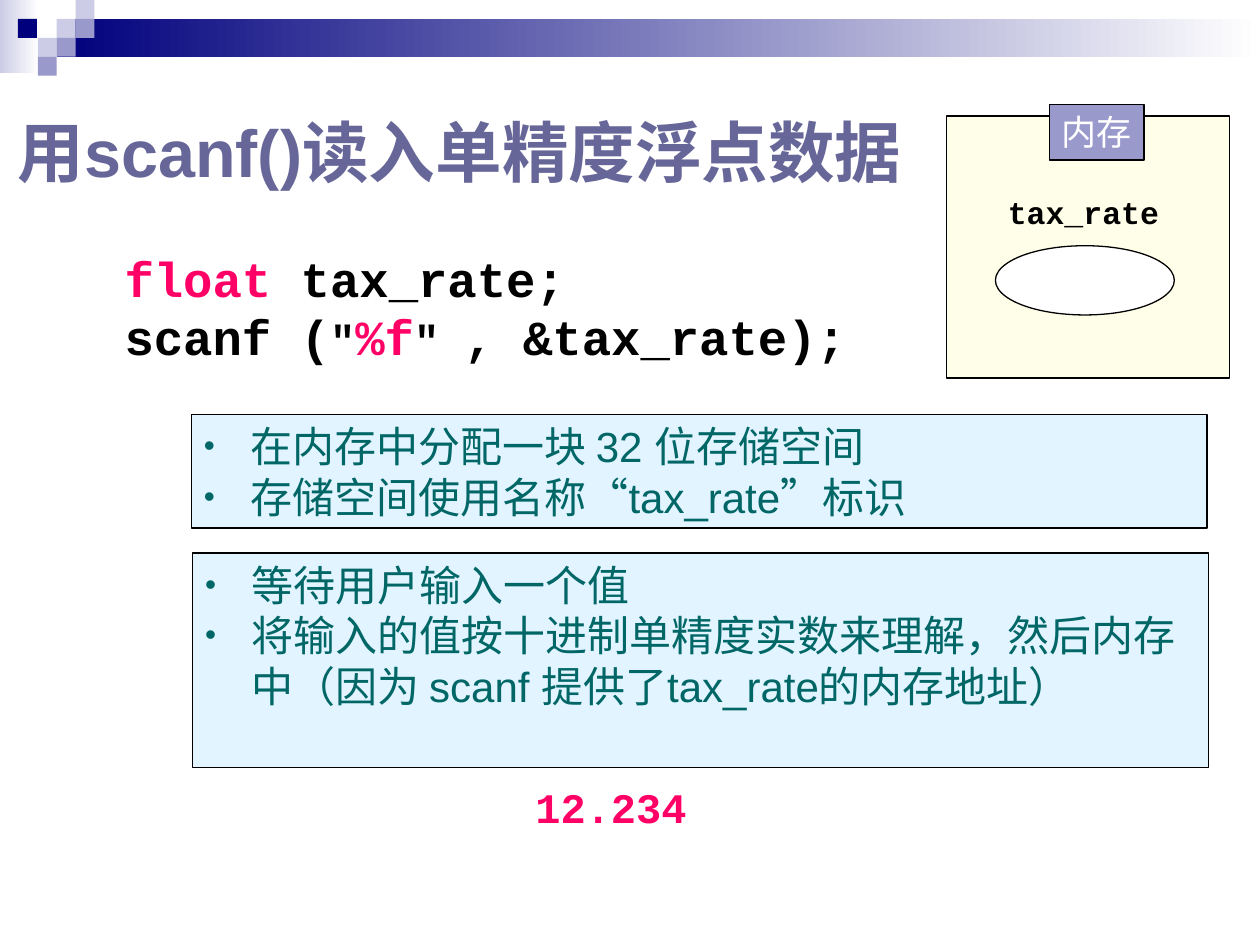
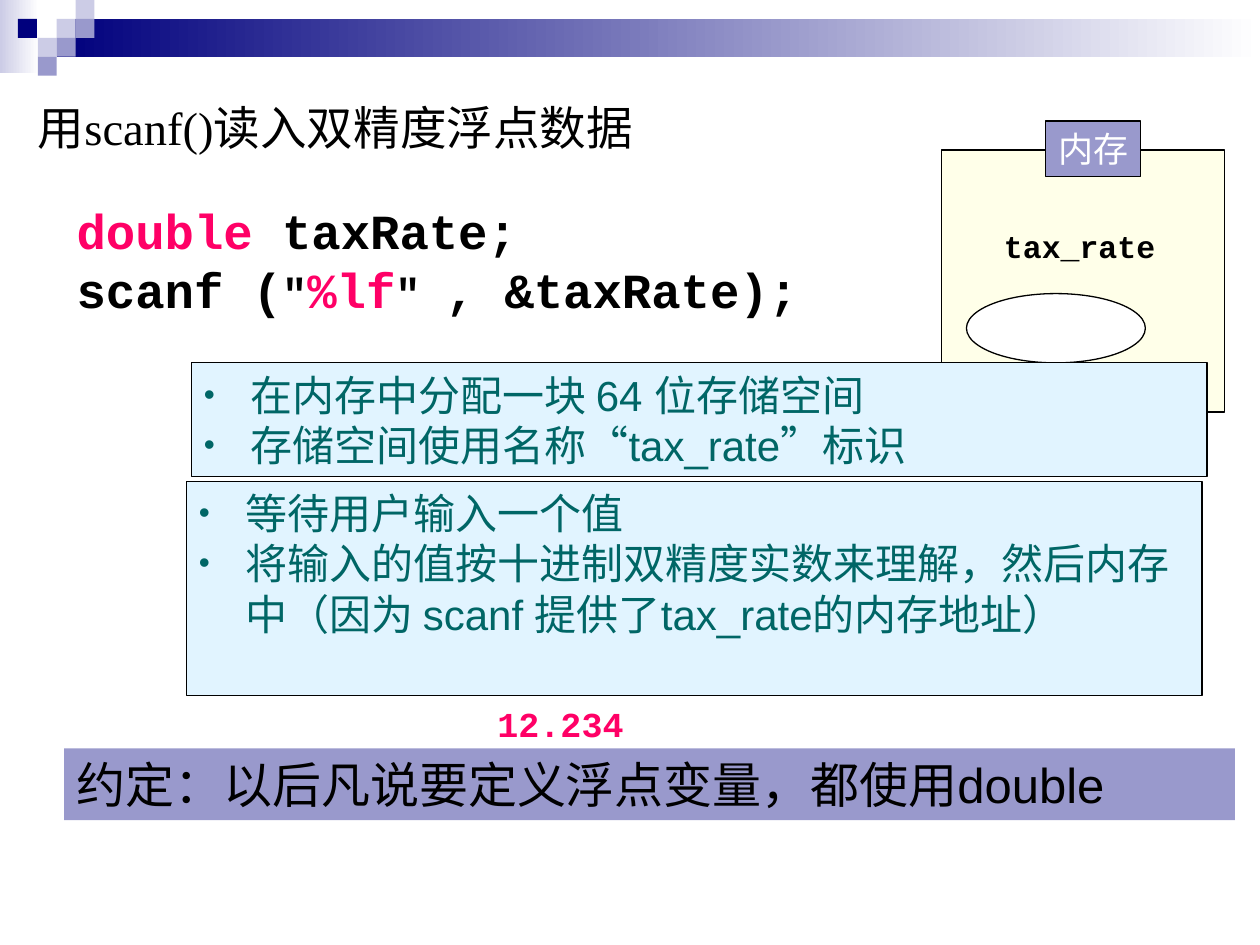
from dataclasses import dataclass

from lxml import etree
from pptx import Presentation, util as u
from pptx.dml.color import RGBColor
from pptx.enum import shapes, text
from pptx.oxml.ns import qn


@dataclass(frozen=True)
class Theme:
    navy: str = "00007D"
    lavender: str = "9999CC"
    pale: str = "CCCCE6"
    white: str = "FFFFFF"
    black: str = "000000"
    heading: str = "666699"
    cream: str = "FFFFE9"
    sky: str = "E1F4FF"
    teal: str = "006666"
    pink: str = "FF0066"
    sans: str = "Arial"
    mono: str = "Courier New"
    serif: str = "Times New Roman"
    code: float = 28
    quote: float = 24
    body: float = 24
    tag: float = 20
    label: float = 18


T = Theme()
RECT, OVAL = shapes.MSO_SHAPE.RECTANGLE, shapes.MSO_SHAPE.OVAL

prs = Presentation()
prs.slide_width, prs.slide_height = u.Inches(10), u.Inches(7.5)
COLUMN = prs.slide_width / 10     # ten columns
ROW = prs.slide_height / 7.5      # seven and a half rows
TILE = 0.15                       # mosaic tile, in columns or rows


def place(slide, kind, at, fill=None, line=None):
    """Add a preset shape, or a text box when kind is None, at grid coordinates."""
    left, top, width, height = at
    frame = [round(n) for n in (left * COLUMN, top * ROW, width * COLUMN, height * ROW)]
    if kind is None:
        return slide.shapes.add_textbox(*frame)
    shape = slide.shapes.add_shape(kind, *frame)
    shape.shadow.inherit = False
    if isinstance(fill, tuple):
        shape.fill.gradient()
        shape.fill.gradient_angle = 0
        for stop, colour in zip(shape.fill.gradient_stops, fill):
            stop.color.rgb = RGBColor.from_string(colour)
    else:
        shape.fill.solid()
        shape.fill.fore_color.rgb = RGBColor.from_string(fill)
    if line:
        shape.line.color.rgb = RGBColor.from_string(line)
        shape.line.width = u.Pt(0.75)
    else:
        shape.line.fill.background()
    return shape


def write(shape, lines, font, bold=False, wrap=True, bullet=None, middle=False):
    """Fill a shape with lines, each a list of (words, size, colour) runs."""
    frame = shape.text_frame
    frame.word_wrap = wrap
    frame.auto_size = text.MSO_AUTO_SIZE.NONE
    frame.vertical_anchor = text.MSO_ANCHOR.MIDDLE if middle else text.MSO_ANCHOR.TOP
    for i, runs in enumerate(lines):
        paragraph = frame.add_paragraph() if i else frame.paragraphs[0]
        paragraph.alignment = text.PP_ALIGN.LEFT
        if bullet:
            props = paragraph._p.get_or_add_pPr()
            indent = round(0.37 * COLUMN)
            props.set("marL", str(indent))
            props.set("indent", str(-indent))
            colour = etree.SubElement(props, qn("a:buClr"))
            etree.SubElement(colour, qn("a:srgbClr"), val=bullet)
            etree.SubElement(props, qn("a:buSzPct"), val="75000")
            etree.SubElement(props, qn("a:buFont"), typeface=font)
            etree.SubElement(props, qn("a:buChar"), char="•")
        for words, size, ink in runs:
            run = paragraph.add_run()
            run.text = words
            run.font.name, run.font.size, run.font.bold = font, u.Pt(size), bold
            run.font.color.rgb = RGBColor.from_string(ink)


lessons = [
    dict(title="用scanf()读入单精度浮点数据", title_at=(0.04, 0.69, 9.05, 1.02),
         title_style=(38, T.heading, T.sans, True),
         keyword="float", variable="tax_rate", format="%f", code_at=(0.89, 1.92),
         panel=(7.51, 0.92), tag=(8.33, 0.83), label=(7.9, 1.48), cell=(7.9, 1.95),
         bits=32, precision="单", storage=(1.52, 3.29), reading=(1.53, 4.39),
         input_at=(4.15, 6.15, 1.95, 0.5), input_size=24, rule=None),
    dict(title="用scanf()读入双精度浮点数据", title_at=(0.2, 0.67, 8.69, 0.67),
         title_style=(26.6, T.black, T.serif, False),
         keyword="double", variable="taxRate", format="%lf", code_at=(0.51, 1.54),
         panel=(7.47, 1.19), tag=(8.3, 0.96), label=(7.87, 1.75), cell=(7.67, 2.33),
         bits=64, precision="双", storage=(1.52, 2.88), reading=(1.48, 3.82),
         input_at=(3.85, 5.53, 1.37, 0.44), input_size=20,
         rule="约定：以后凡说要定义浮点变量，都使用double"),
]

layout = prs.slide_layouts[5]
pages = [prs.slides.add_slide(layout) for _ in lessons]

# The banner is drawn once, then moved to the layout that both slides share.
tiles = [(3, 1, T.pale), (4, 0, T.pale), (4, 1, T.lavender), (2, 2, T.pale),
         (0.95, 1, T.navy), (3, 2, T.lavender), (2, 3, T.lavender)]
banner = [place(pages[0], RECT, (0, 0, 0.31, 0.58), (T.pale, T.white)),
          place(pages[0], RECT, (3 * TILE, TILE, 10 - 3 * TILE, 2 * TILE), (T.navy, T.white))]
banner += [place(pages[0], RECT, (column * TILE, row * TILE, TILE, TILE), colour)
           for column, row, colour in tiles]
for part in banner:
    layout.shapes.element.append(part.element)

for page, lesson in zip(pages, lessons):
    # Title
    title = page.shapes.title
    left, top, width, height = lesson["title_at"]
    title.left, title.width = round(left * COLUMN), round(width * COLUMN)
    title.top, title.height = round(top * ROW), round(height * ROW)
    size, ink, font, bold = lesson["title_style"]
    write(title, [[(lesson["title"], size, ink)]], font, bold, middle=True)

    # Memory diagram
    place(page, RECT, (*lesson["panel"], 2.25, 2.08), T.cream, T.black)
    tag = place(page, RECT, (*lesson["tag"], 0.75, 0.44), T.lavender, T.black)
    write(tag, [[("内存", T.tag, T.white)]], T.mono, wrap=False)
    place(page, OVAL, (*lesson["cell"], 1.42, 0.55), T.white, T.black)
    label = place(page, None, (*lesson["label"], 1.4, 0.4))
    write(label, [[("tax_rate", T.label, T.black)]], T.mono, bold=True, wrap=False)

    # Code
    code = place(page, None, (*lesson["code_at"], 5.92, 1.04))
    write(code, [
        [(lesson["keyword"], T.code, T.pink),
         (f" {lesson['variable']};", T.code, T.black)],
        [("scanf (", T.code, T.black), ('"', T.quote, T.black),
         (lesson["format"], T.code, T.pink), ('" ', T.quote, T.black),
         (f", &{lesson['variable']});", T.code, T.black)],
    ], T.mono, bold=True, wrap=False)

    # Explanations
    explanations = [
        (lesson["storage"], 0.9, [f"在内存中分配一块 {lesson['bits']} 位存储空间",
                                  "存储空间使用名称“tax_rate”标识"]),
        (lesson["reading"], 1.7, ["等待用户输入一个值",
                                  f"将输入的值按十进制{lesson['precision']}精度实数来理解，"
                                  "然后内存中（因为 scanf 提供了tax_rate的内存地址）"]),
    ]
    for corner, height, points in explanations:
        note = place(page, RECT, (*corner, 8.06, height), T.sky, T.black)
        write(note, [[(point, T.body, T.teal)] for point in points], T.sans, bullet=T.teal)

    # Sample input and closing rule
    sample = place(page, None, lesson["input_at"])
    write(sample, [[("12.234", lesson["input_size"], T.pink)]], T.mono, bold=True)
    if lesson["rule"]:
        rule = place(page, RECT, (0.51, 5.94, 9.29, 0.57), T.lavender)
        write(rule, [[(lesson["rule"], T.code, T.black)]], T.sans)

prs.save("out.pptx")
